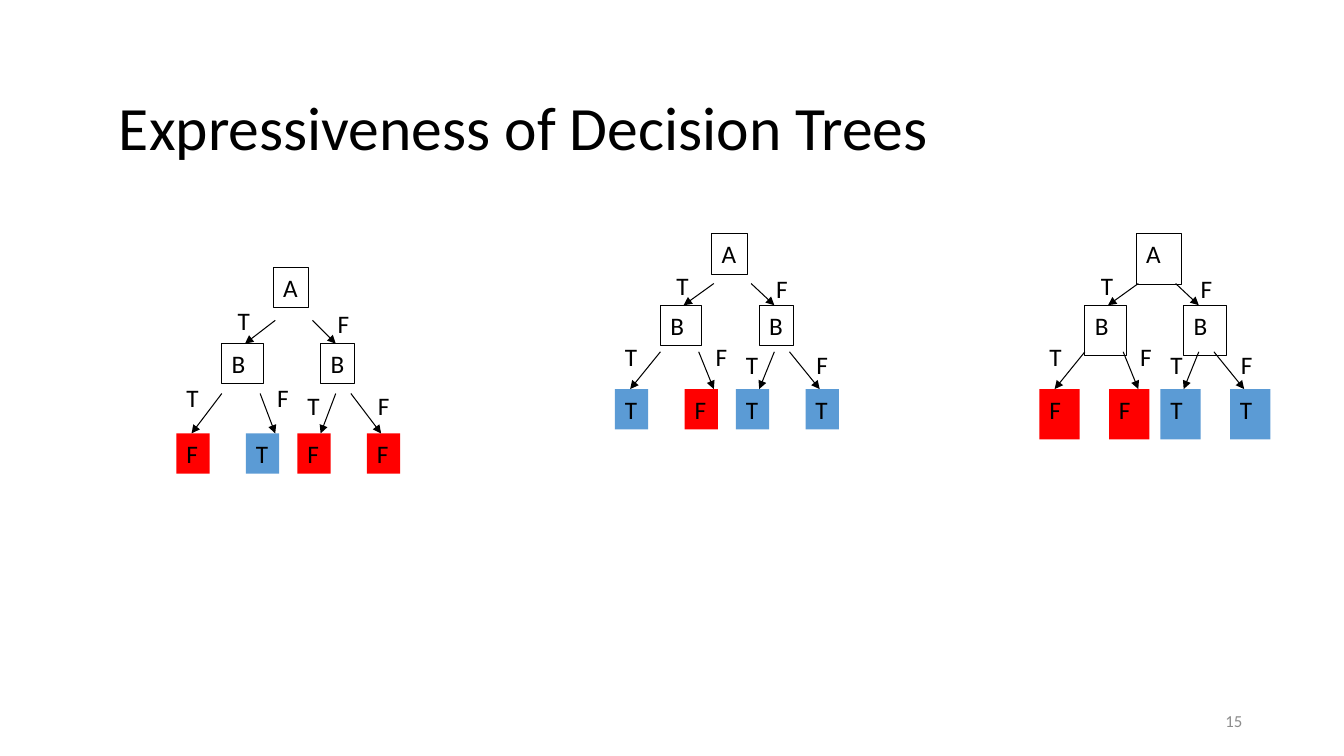
from lxml.etree import SubElement
from pptx import Presentation
from pptx.dml.color import RGBColor
from pptx.enum.shapes import MSO_CONNECTOR as Link, MSO_SHAPE as Form
from pptx.enum.text import MSO_ANCHOR as Anchor, MSO_AUTO_SIZE as Fit, PP_ALIGN as Align
from pptx.oxml.ns import qn
from pptx.util import Inches, Pt

WIDE, HIGH = 13.33, 7.5
HUES = {"ink": "000000", "T": "5B9BD5", "F": "FF0000", "page": "8C8C8C"}

# Across in inches from the tree's left edge, down as shares of its drop.
ROOT, NODES, LEAVES = 0.96, (0.45, 1.43), (0, 0.69, 1.2, 1.89)
LEVEL = 0.46
EDGES = [
    (0.98, 0.32, 0.68, LEVEL), (1.35, 0.32, 1.58, LEVEL),
    (0.45, 0.76, 0.15, 1), (0.83, 0.76, 0.98, 1),
    (1.58, 0.76, 1.43, 1), (1.73, 0.76, 2.03, 1),
]
MARKS = [
    ("T", 0.51, 0.2), ("F", 1.5, 0.22),
    ("T", 0, 0.66), ("F", 0.9, 0.66),
    ("T", 1.2, 0.71), ("F", 1.9, 0.71),
]


def hue(name):
    return RGBColor.from_string(HUES[name])


def write(shape, text, size=18, color="ink", align=Align.LEFT, anchor=Anchor.TOP, lead=None):
    frame = shape.text_frame
    frame.word_wrap = True
    frame.auto_size = Fit.NONE
    frame.vertical_anchor = anchor
    frame.text = text
    line = frame.paragraphs[0]
    line.alignment = align
    line.line_spacing = lead
    font = line.runs[0].font
    font.name, font.size = "Calibri", Pt(size)
    font.color.rgb = hue(color)


def cell(group, text, box, fill=None):
    """Draw a filled leaf, or an outlined node when no fill is given."""
    shape = group.shapes.add_shape(Form.RECTANGLE, *map(Inches, box))
    shape.shadow.inherit = False
    if fill:
        shape.fill.solid()
        shape.fill.fore_color.rgb = hue(fill)
        shape.line.fill.background()
    else:
        shape.fill.background()
        shape.line.color.rgb = hue("ink")
        shape.line.width = Pt(0.75)
    write(shape, text)


def arrow(group, ends):
    link = group.shapes.add_connector(Link.STRAIGHT, *map(Inches, ends))
    link.line.color.rgb = hue("ink")
    link.line.width = Pt(0.75)
    SubElement(link.line._get_or_add_ln(), qn("a:tailEnd"), type="triangle")
    SubElement(link._element.spPr, qn("a:effectLst"))


def tree(slide, left, top, drop, leaves, sides, tall):
    """Draw a two-level tree; sides holds the widths of root, nodes and leaves."""
    group = slide.shapes.add_group_shape()
    root, first, second, leaf = sides
    cell(group, "A", (left + ROOT, top, root, tall))
    for x, side in zip(NODES, (first, second)):
        cell(group, "B", (left + x, top + LEVEL * drop, side, tall))
    for x, text in zip(LEAVES, leaves):
        cell(group, text, (left + x, top + drop, leaf, tall), fill=text)
    for x1, y1, x2, y2 in EDGES:
        arrow(group, (left + x1, top + y1 * drop, left + x2, top + y2 * drop))
    for text, x, y in MARKS:
        box = left + x, top + y * drop, leaf, tall
        write(group.shapes.add_textbox(*map(Inches, box)), text)


def head(slide, left, top, width, height):
    title = slide.shapes.title
    title.left, title.top = Inches(left), Inches(top)
    title.width, title.height = Inches(width), Inches(height)
    write(title, "Expressiveness of Decision Trees", size=44, anchor=Anchor.MIDDLE, lead=0.9)


def foot(slide, left, top, width, height):
    box = slide.shapes.add_textbox(*map(Inches, (left, top, width, height)))
    write(box, "15", size=12, color="page", align=Align.RIGHT, anchor=Anchor.MIDDLE)


def main():
    deck = Presentation()
    deck.slide_width, deck.slide_height = Inches(WIDE), Inches(HIGH)
    slide = deck.slides.add_slide(deck.slide_layouts[5])
    head(slide, 1.08, 0.57, 11.5, 1.45)
    slim, broad = (0.35, 0.41, 0.34, 0.33), (0.45, 0.41, 0.43, 0.4)
    tree(slide, 1.75, 2.65, 1.65, "FTFF", slim, 0.4)
    tree(slide, 6.1, 2.32, 1.54, "TFTT", slim, 0.4)
    tree(slide, 10.31, 2.32, 1.54, "FFTT", broad, 0.5)
    foot(slide, 9.42, 6.95, 3, 0.4)
    deck.save("out.pptx")


if __name__ == "__main__":
    main()
